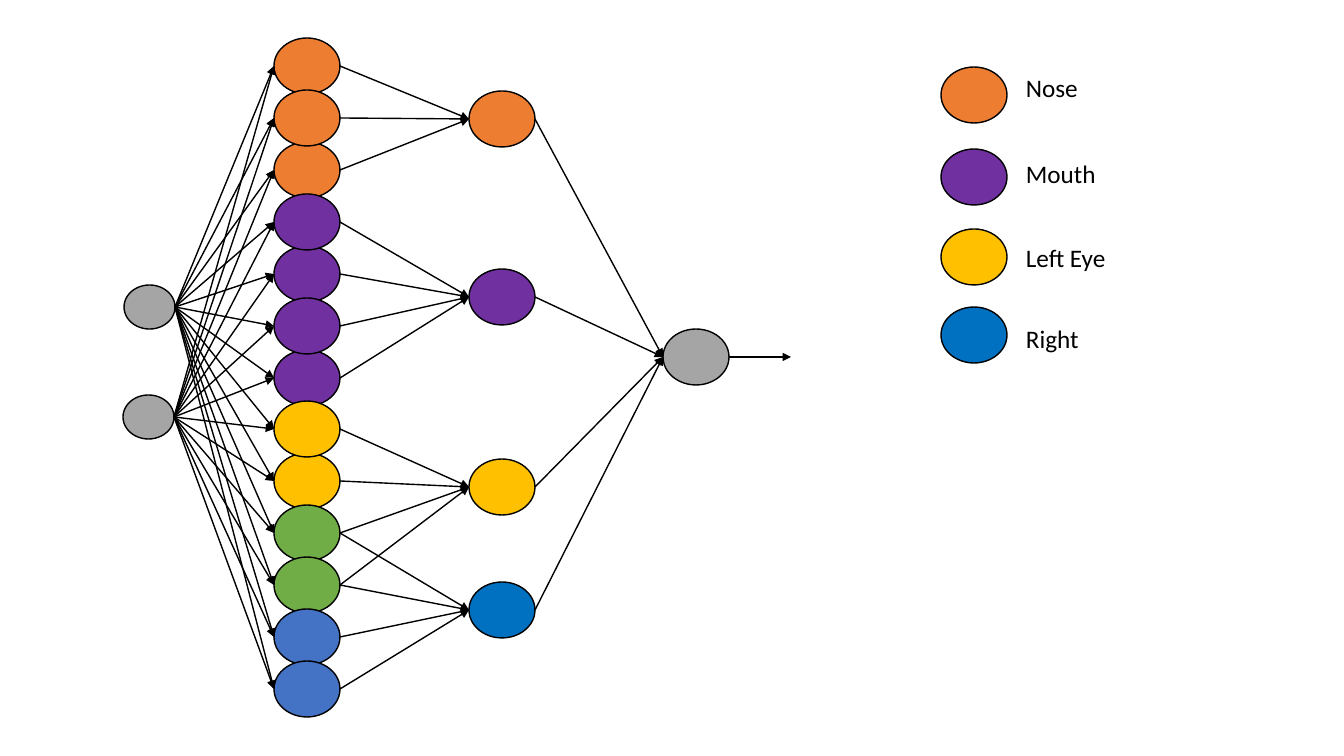
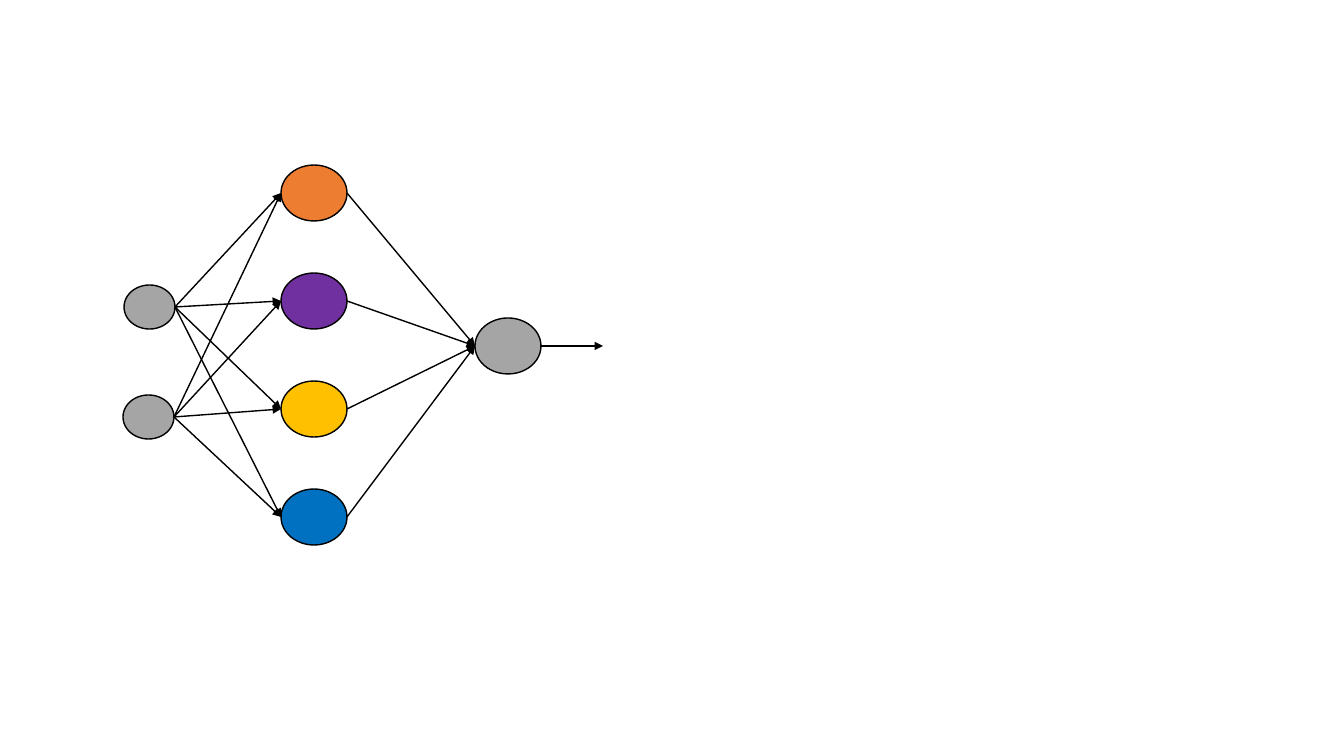
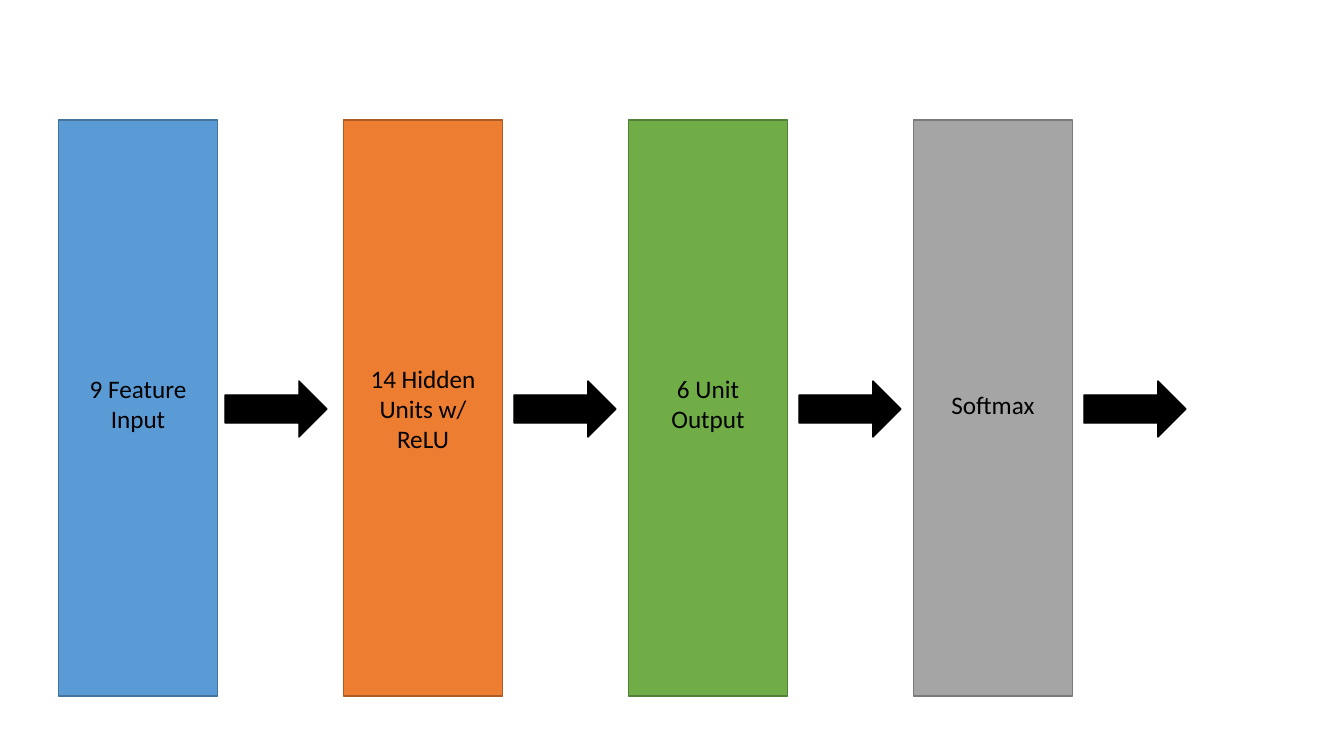
"""Build three slides that explain small neural networks."""
from dataclasses import dataclass

from pptx import Presentation, util as u
from pptx.dml.color import RGBColor
from pptx.enum import shapes, text
from pptx.oxml import ns, xmlchemy

SCALE = 914400 / 100.8


@dataclass(frozen=True)
class Theme:
    """Colours, type and line widths of the deck."""
    black: str = "000000"
    gray: str = "A5A5A5"
    orange: str = "ED7D31"
    purple: str = "7030A0"
    yellow: str = "FFC000"
    green: str = "70AD47"
    indigo: str = "4472C4"
    blue: str = "0070C0"
    sky: str = "5B9BD5"
    sky_edge: str = "43739E"
    orange_edge: str = "AF5C24"
    green_edge: str = "538035"
    gray_edge: str = "7A7A7A"
    font: str = "Calibri"
    size: int = 18
    line: int = 1


THEME = Theme()
PARTS = [THEME.orange, THEME.purple, THEME.yellow, THEME.blue]
NODE = (66, 56)
INPUT_NODE = (51, 44)


def px(*lengths):
    """Turn pixel lengths into EMU."""
    return [u.Emu(round(length * SCALE)) for length in lengths]


def add_shape(slide, kind, box, fill, edge=THEME.black):
    """Add a filled and outlined preset shape."""
    shape = slide.shapes.add_shape(kind, *px(*box))
    shape.shadow.inherit = False
    shape.fill.solid()
    shape.fill.fore_color.rgb = RGBColor.from_string(fill)
    shape.line.color.rgb = RGBColor.from_string(edge)
    shape.line.width = u.Pt(THEME.line)


def add_node(slide, left, top, fill, size=NODE):
    """Add a neuron and return its box."""
    box = (left, top, *size)
    add_shape(slide, shapes.MSO_SHAPE.OVAL, box, fill)
    return box


def add_arrow(slide, start, end):
    """Add a straight line with an arrowhead at its end."""
    connector = slide.shapes.add_connector(
        shapes.MSO_CONNECTOR.STRAIGHT, *px(*start, *end))
    connector.line.color.rgb = RGBColor.from_string(THEME.black)
    connector.line.width = u.Pt(THEME.line)
    head = xmlchemy.OxmlElement("a:tailEnd")
    head.set("type", "triangle")
    connector.line._get_or_add_ln().append(head)
    properties = connector._element.find(ns.qn("p:spPr"))
    properties.append(xmlchemy.OxmlElement("a:effectLst"))


def left_side(box):
    """Return the middle of a box's left side."""
    left, top, _, height = box
    return left, top + height / 2


def right_side(box):
    """Return the middle of a box's right side."""
    left, top, width, height = box
    return left + width, top + height / 2


def link(slide, sources, targets):
    """Join every source node to every target node."""
    for source in sources:
        for target in targets:
            add_arrow(slide, right_side(source), left_side(target))


def add_exit(slide, node):
    """Add the arrow that leaves the output node."""
    left, middle = right_side(node)
    add_arrow(slide, (left, middle), (left + 62, middle))


def add_label(slide, box, words, alignment=text.PP_ALIGN.LEFT):
    """Add a wrapped text label."""
    frame = slide.shapes.add_textbox(*px(*box)).text_frame
    frame.word_wrap = True
    frame.auto_size = text.MSO_AUTO_SIZE.SHAPE_TO_FIT_TEXT
    frame.text = words
    paragraph = frame.paragraphs[0]
    paragraph.alignment = alignment
    font = paragraph.runs[0].font
    font.name = THEME.font
    font.size = u.Pt(THEME.size)
    font.color.rgb = RGBColor.from_string(THEME.black)


def add_inputs(slide):
    """Add the two input nodes."""
    return [add_node(slide, left, top, THEME.gray, INPUT_NODE)
            for left, top in ((124, 285), (123, 395))]


def add_legend(slide):
    """Add the key to the face parts."""
    rows = [("Nose", 67, 67), ("Mouth", 149, 153),
            ("Left Eye", 229, 237), ("Right", 307, 318)]
    for (words, node_top, label_top), color in zip(rows, PARTS):
        add_node(slide, 941, node_top, color)
        add_label(slide, (1016, label_top, 145, 40), words)


def build_grouped_network(slide):
    """Draw the network whose hidden units feed face parts."""
    inputs = add_inputs(slide)
    colors = ([THEME.orange] * 3 + [THEME.purple] * 4 + [THEME.yellow] * 2
              + [THEME.green] * 2 + [THEME.indigo] * 2)
    stacking = [0, 2, 4, 6, 8, 9, 10, 11, 7, 5, 3, 1, 12]
    nodes = {index: add_node(slide, 274, round(38 + 623 * index / 12), colors[index])
             for index in stacking}
    hidden = [nodes[index] for index in range(len(colors))]
    features = [add_node(slide, 469, top, color)
                for top, color in zip((91, 269, 459, 582), PARTS)]
    output = add_node(slide, 663, 329, THEME.gray)
    link(slide, inputs, hidden)
    groups = [hidden[:3], hidden[3:7], hidden[7:11], hidden[9:]]
    for group, feature in zip(groups, features):
        link(slide, group, [feature])
    link(slide, features, [output])
    add_exit(slide, output)
    add_legend(slide)


def build_simple_network(slide):
    """Draw the network with one hidden unit for each face part."""
    inputs = add_inputs(slide)
    hidden = [add_node(slide, 281, 165 + 108 * row, color)
              for row, color in enumerate(PARTS)]
    output = add_node(slide, 475, 318, THEME.gray)
    link(slide, hidden, [output])
    add_exit(slide, output)
    link(slide, inputs, hidden)


def build_layers(slide):
    """Draw the layers as columns joined by block arrows."""
    layers = [
        ("9 Feature Input", THEME.sky, THEME.sky_edge, 225, 368, 72),
        ("14 Hidden Units w/ ReLU", THEME.orange, THEME.orange_edge, 514, 358, 102),
        ("6 Unit Output", THEME.green, THEME.green_edge, 799, 368, 72),
        ("Softmax", THEME.gray, THEME.gray_edge, 1084, 384, 40),
    ]
    for column, (words, fill, edge, arrow_left, top, height) in enumerate(layers):
        left = 58.5 + 285 * column
        add_shape(slide, shapes.MSO_SHAPE.RECTANGLE, (left, 120, 159, 576), fill, edge)
        add_shape(slide, shapes.MSO_SHAPE.RIGHT_ARROW,
                  (arrow_left, 381, 102, 56), THEME.black)
        add_label(slide, (left, top, 159, height), words, text.PP_ALIGN.CENTER)


def main():
    """Build and save the deck."""
    presentation = Presentation()
    presentation.slide_width, presentation.slide_height = px(1344, 756)
    blank = presentation.slide_layouts[6]
    for build in (build_grouped_network, build_simple_network, build_layers):
        build(presentation.slides.add_slide(blank))
    presentation.save("out.pptx")


main()
